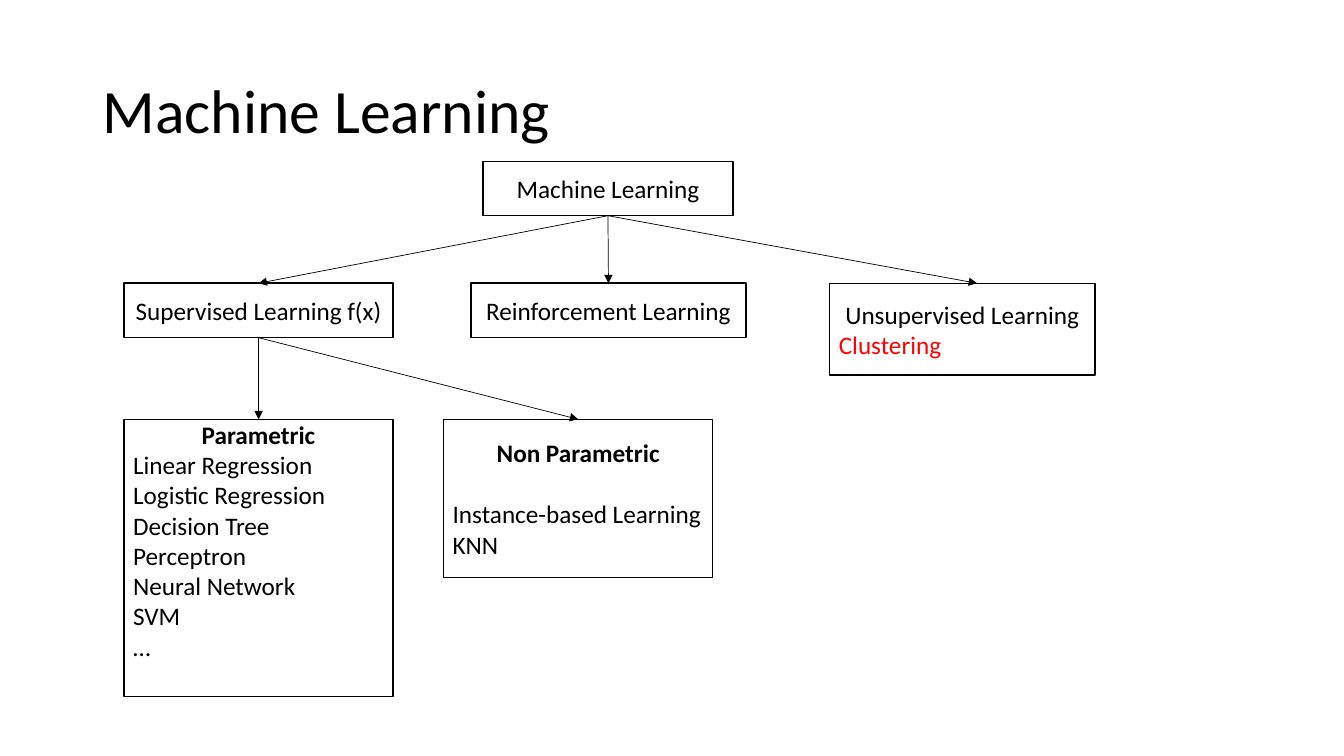
import pptx
import pptx.dml.color
import pptx.enum.shapes
import pptx.enum.text
import pptx.oxml.ns
import pptx.util
from lxml import etree

PX = 9144  # EMU per px, 100 px to the inch
BLACK, WHITE, RED = "000000", "FFFFFF", "FF0000"
CENTER = pptx.enum.text.PP_ALIGN.CENTER
LEFT = pptx.enum.text.PP_ALIGN.LEFT
MIDDLE = pptx.enum.text.MSO_ANCHOR.MIDDLE
TOP = pptx.enum.text.MSO_ANCHOR.TOP


def color(code):
    return pptx.dml.color.RGBColor.from_string(code)


def write(para, text, size, code=BLACK, bold=False):
    span = para.add_run()
    span.text = text
    span.font.name = "Calibri"
    span.font.size = pptx.util.Pt(size)
    span.font.bold = bold
    span.font.color.rgb = color(code)


deck = pptx.Presentation()
deck.slide_width, deck.slide_height = 1333 * PX, 750 * PX
page = deck.slides.add_slide(deck.slide_layouts[6])

# Title
title = page.shapes.add_textbox(92 * PX, 40 * PX, 1150 * PX, 145 * PX)
title.text_frame.word_wrap = True
title.text_frame.vertical_anchor = MIDDLE
title.text_frame.paragraphs[0].line_spacing = 0.9
write(title.text_frame.paragraphs[0], "Machine Learning", 44)

# Boxes: name, left, top, width, height, heading, heading is bold, items, item colour
nodes = [
    ("root", 479, 160, 248, 54, "Machine Learning", False, [], BLACK),
    ("supervised", 123, 281, 267, 54, "Supervised Learning f(x)", False, [], BLACK),
    ("reinforcement", 467, 281, 273, 54, "Reinforcement Learning", False, [], BLACK),
    ("unsupervised", 823, 281, 263, 91, "Unsupervised Learning", False, ["Clustering"], RED),
    ("parametric", 123, 416, 267, 275, "Parametric", True,
     ["Linear Regression", "Logistic Regression", "Decision Tree", "Perceptron",
      "Neural Network", "SVM", "…"], BLACK),
    ("non_parametric", 440, 416, 267, 157, "Non Parametric", True,
     ["Instance-based Learning", "KNN"], BLACK),
]
boxes = {}
for name, left, top, width, height, heading, bold, items, item_color in nodes:
    box = page.shapes.add_shape(pptx.enum.shapes.MSO_SHAPE.RECTANGLE,
                                left * PX, top * PX, width * PX, height * PX)
    box.shadow.inherit = False
    box.fill.solid()
    box.fill.fore_color.rgb = color(WHITE)
    box.line.color.rgb = color(BLACK)
    box.line.width = pptx.util.Pt(1)
    frame = box.text_frame
    frame.word_wrap = True
    frame.vertical_anchor = MIDDLE
    frame.margin_left = frame.margin_right = 9 * PX
    frame.paragraphs[0].alignment = CENTER
    write(frame.paragraphs[0], heading, 18, bold=bold)
    for item in items:
        para = frame.add_paragraph()
        para.alignment = LEFT
        write(para, item, 18, item_color)
    boxes[name] = box

# The long list hangs from the top edge; the short one stands a line below its heading
boxes["parametric"].text_frame.vertical_anchor = TOP
boxes["parametric"].text_frame.margin_top = 0
boxes["non_parametric"].text_frame.paragraphs[1].space_before = pptx.util.Pt(22)

# Arrows from the bottom of a parent to the top of a child
arrows = [
    ("root", "supervised"),
    ("root", "reinforcement"),
    ("root", "unsupervised"),
    ("supervised", "parametric"),
    ("supervised", "non_parametric"),
]
for parent, child in arrows:
    arrow = page.shapes.add_connector(pptx.enum.shapes.MSO_CONNECTOR.STRAIGHT,
                                      0, 0, 969 * PX, 281 * PX)
    arrow.begin_connect(boxes[parent], 2)
    if child != "unsupervised":  # this arrow lands right of the middle
        arrow.end_connect(boxes[child], 0)
    arrow.line.color.rgb = color(BLACK)
    arrow.line.width = pptx.util.Pt(0.5)
    tail = etree.SubElement(arrow.line._get_or_add_ln(), pptx.oxml.ns.qn("a:tailEnd"))
    tail.set("type", "triangle")
    etree.SubElement(arrow._element.spPr, pptx.oxml.ns.qn("a:effectLst"))

deck.save("out.pptx")
